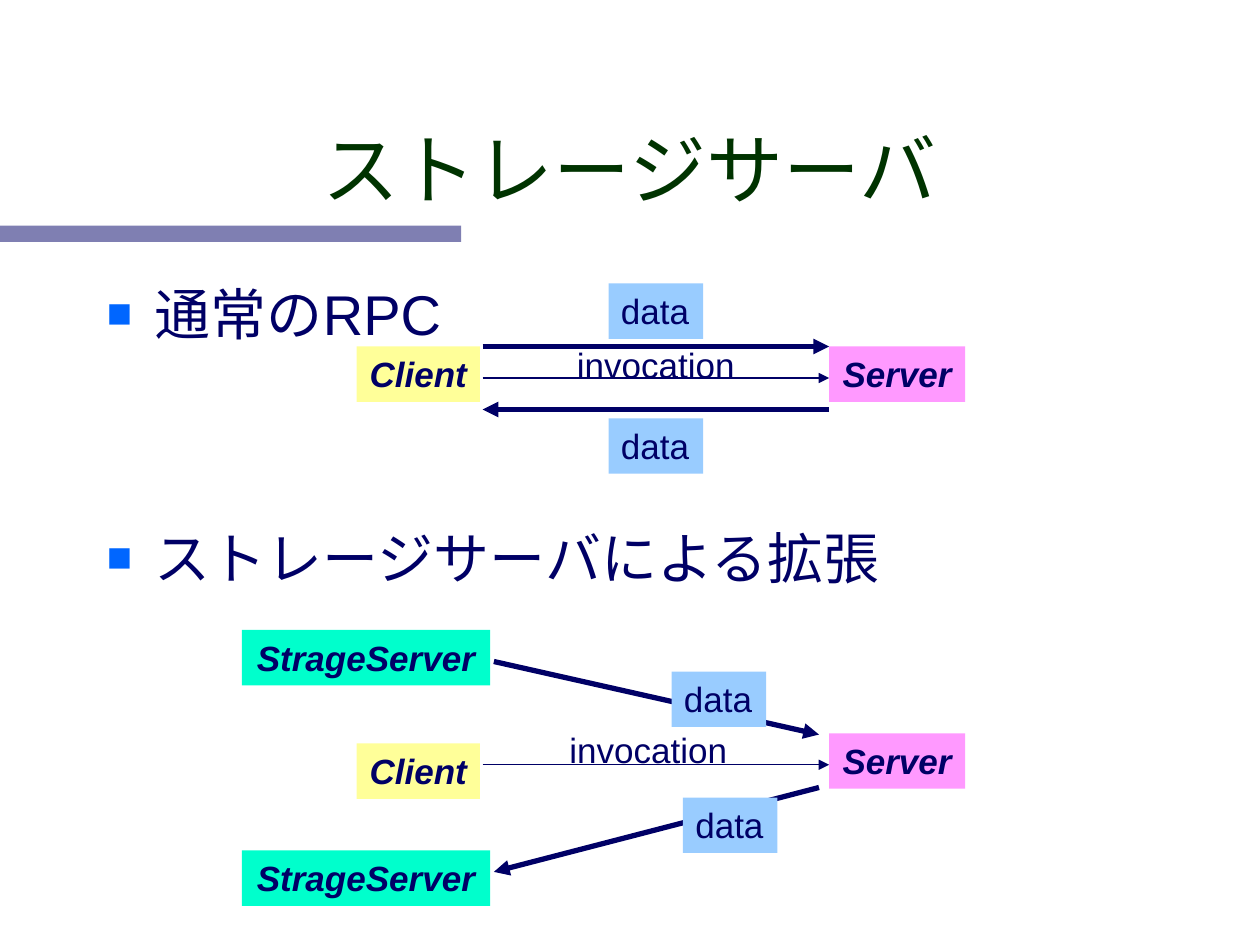
"""Build the storage server slide comparing plain RPC with its extension."""
from lxml import etree
from pptx import Presentation
from pptx.dml.color import RGBColor
from pptx.enum.shapes import MSO_CONNECTOR, MSO_SHAPE
from pptx.enum.text import MSO_ANCHOR, MSO_AUTO_SIZE, PP_ALIGN
from pptx.oxml.ns import qn
from pptx.util import Inches, Pt

RECTANGLE = MSO_SHAPE.RECTANGLE
STRAIGHT = MSO_CONNECTOR.STRAIGHT
LEFT, CENTER = PP_ALIGN.LEFT, PP_ALIGN.CENTER
TOP, BOTTOM = MSO_ANCHOR.TOP, MSO_ANCHOR.BOTTOM
FIT_SHAPE, FIT_NONE = MSO_AUTO_SIZE.SHAPE_TO_FIT_TEXT, MSO_AUTO_SIZE.NONE

COLORS = {
    "navy": "000066",
    "title": "003300",
    "bullet": "0066FF",
    "client": "FFFF99",
    "server": "FF99FF",
    "storage": "00FFCC",
    "data": "99CCFF",
}


def color(name):
    return RGBColor.from_string(COLORS[name])


def format_font(font, size, color_name, **values):
    for name, value in {"name": "Arial", "size": Pt(size), **values}.items():
        setattr(font, name, value)
    font.color.rgb = color(color_name)


deck = Presentation()
deck.slide_width, deck.slide_height = Inches(10), Inches(7.5)
page = deck.slides.add_slide(deck.slide_layouts[5])
shapes = page.shapes

bar = shapes.add_shape(RECTANGLE, Inches(0), Inches(1.79), Inches(3.66), Inches(0.13))
bar.shadow.inherit = False
bar.line.fill.background()
bar.fill.solid()
bar.fill.fore_color.rgb = color("navy")
bar_color = bar.fill._xPr.find(".//" + qn("a:srgbClr"))
etree.SubElement(bar_color, qn("a:alpha"), val="50000")

title = shapes.title
title.left, title.top = Inches(0.75), Inches(0.5)
title.width, title.height = Inches(8.5), Inches(1.25)
title.text_frame.text = "ストレージサーバ"
title.text_frame.vertical_anchor = BOTTOM
title.text_frame.auto_size = FIT_NONE
title_para = title.text_frame.paragraphs[0]
title_para.alignment = CENTER
format_font(title_para.runs[0].font, 44, "title")

topics = shapes.add_textbox(Inches(0.75), Inches(2.17), Inches(8.5), Inches(4.5))
topics.text_frame.word_wrap = True
topics.text_frame.text = "通常のRPC\nストレージサーバによる拡張"
for para, space in zip(topics.text_frame.paragraphs, (0, 101)):
    para.space_before = Pt(space)
    properties = para._p.get_or_add_pPr()
    properties.set("marL", str(Inches(0.38)))
    properties.set("indent", str(Inches(-0.38)))
    bullet_color = etree.SubElement(properties, qn("a:buClr"))
    etree.SubElement(bullet_color, qn("a:srgbClr"), val=COLORS["bullet"])
    etree.SubElement(properties, qn("a:buSzPct"), val="75000")
    etree.SubElement(properties, qn("a:buFont"), typeface="Arial")
    etree.SubElement(properties, qn("a:buChar"), char="■")
    format_font(para.runs[0].font, 32, "navy")

arrows = [
    (3.83, 2.75, 6.58, 2.75, 3),
    (6.58, 3.25, 3.83, 3.25, 3),
    (3.92, 5.25, 6.5, 5.83, 3),
    (6.5, 6.25, 3.92, 6.92, 3),
    (3.83, 3, 6.58, 3, 0.75),
    (3.83, 6.07, 6.58, 6.07, 0.75),
]
for *ends, weight in arrows:
    arrow = shapes.add_connector(STRAIGHT, *map(Inches, ends))
    arrow.line.width = Pt(weight)
    arrow.line.color.rgb = color("navy")
    etree.SubElement(arrow.line._get_or_add_ln(), qn("a:tailEnd"), type="triangle")
    etree.SubElement(arrow._element.spPr, qn("a:effectLst"))

box_kinds = [
    ("Client", "client", 0.98, True, [(2.83, 2.75), (2.83, 5.9)]),
    ("Server", "server", 1.08, False, [(6.58, 2.75), (6.58, 5.82)]),
    ("StrageServer", "storage", 1.97, True, [(1.92, 5), (1.92, 6.75)]),
    ("data", "data", 0.75, False,
     [(4.83, 2.25), (4.83, 3.32), (5.33, 5.33), (5.42, 6.33)]),
    ("invocation", None, 1.45, False, [(4.48, 2.68), (4.42, 5.73)]),
]
for label, fill, width, wrap, places in box_kinds:
    is_node = label[0].isupper()
    for left, top in places:
        area = [Inches(value) for value in (left, top, width, 0.44)]
        if fill:
            box = shapes.add_shape(RECTANGLE, *area)
            box.shadow.inherit = False
            box.line.fill.background()
            box.fill.solid()
            box.fill.fore_color.rgb = color(fill)
        else:
            box = shapes.add_textbox(*area)
        frame = box.text_frame
        frame.text = label
        frame_format = {"word_wrap": wrap, "auto_size": FIT_SHAPE, "vertical_anchor": TOP}
        for name, value in frame_format.items():
            setattr(frame, name, value)
        para = frame.paragraphs[0]
        para.alignment = CENTER if is_node else LEFT
        format_font(para.runs[0].font, 20, "navy", bold=is_node, italic=is_node)

deck.save("out.pptx")
